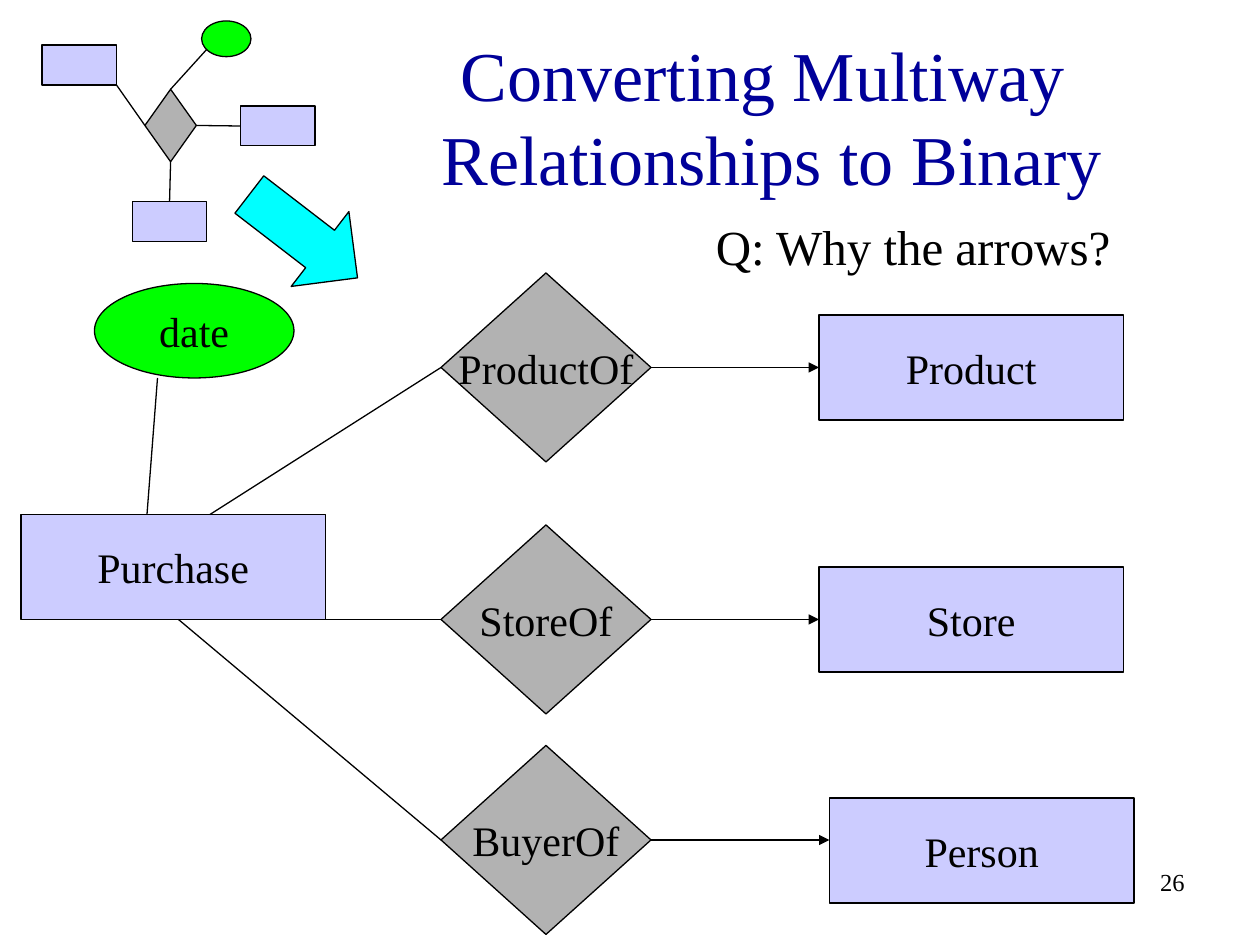
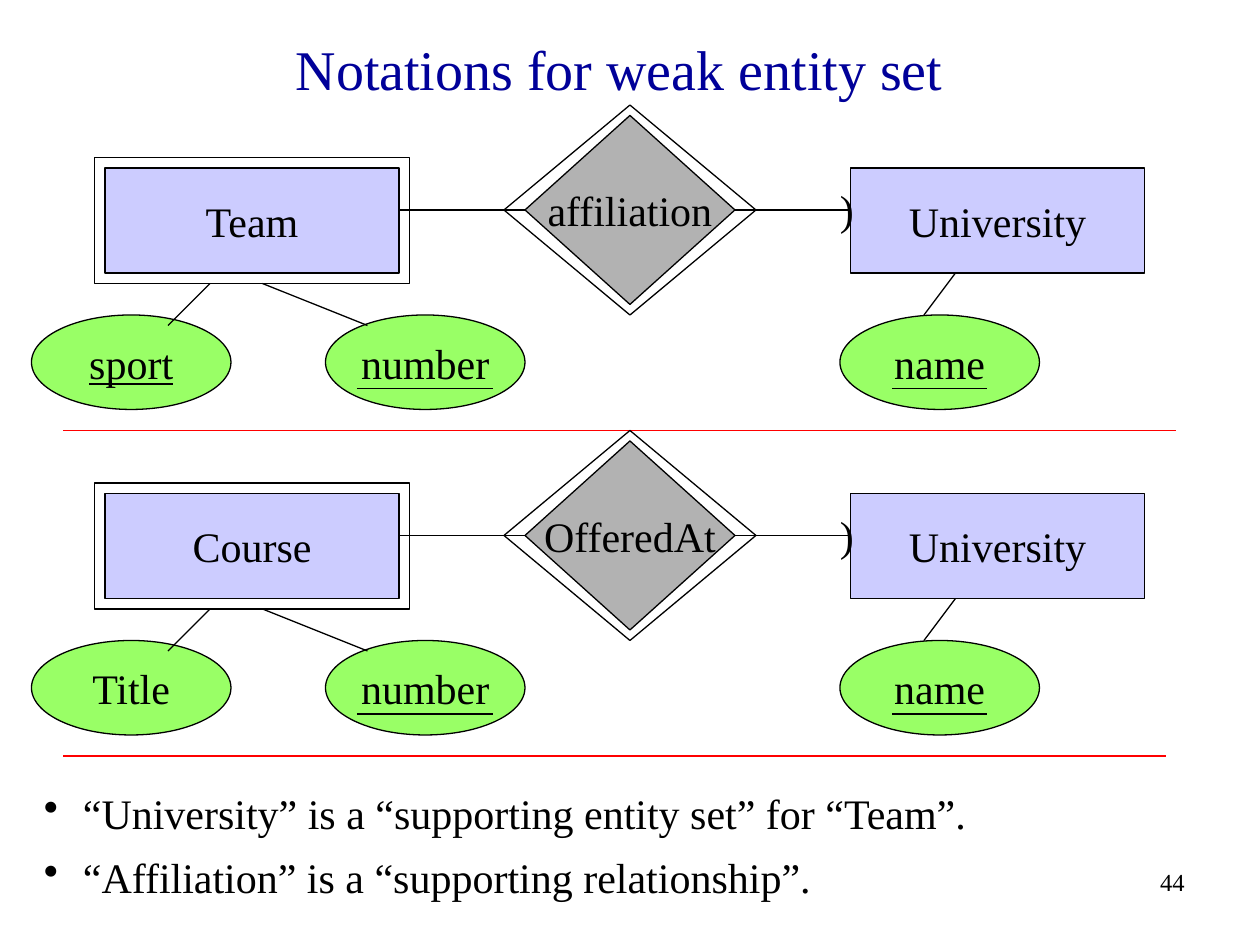
from dataclasses import dataclass
from typing import NamedTuple, Optional, Union

from lxml import etree
from pptx import Presentation
from pptx.dml.color import RGBColor
from pptx.enum.shapes import MSO_CONNECTOR, MSO_SHAPE
from pptx.enum.text import MSO_ANCHOR, MSO_AUTO_SIZE, PP_ALIGN
from pptx.oxml.ns import qn
from pptx.util import Inches, Pt

COLUMNS, ROWS = 120, 90
WIDTH, HEIGHT = Inches(10), Inches(7.5)
FONT = "Times New Roman"
NAVY = RGBColor(0x00, 0x00, 0x99)
BLACK = RGBColor(0x00, 0x00, 0x00)
RED = RGBColor(0xFF, 0x00, 0x00)
LILAC = RGBColor(0xCC, 0xCC, 0xFF)
GRAY = RGBColor(0xB2, 0xB2, 0xB2)
GREEN = RGBColor(0x00, 0xFF, 0x00)
LIME = RGBColor(0x99, 0xFF, 0x66)
CYAN = RGBColor(0x00, 0xFF, 0xFF)
TOP, LEFT, BOTTOM, RIGHT = range(4)


class Area(NamedTuple):
    """A block of grid cells."""
    column: float
    row: float
    columns: float
    rows: float

    def lengths(self) -> tuple:
        return (*place(self.column, self.row), *place(self.columns, self.rows))


class Point(NamedTuple):
    column: float
    row: float


class Joint(NamedTuple):
    """The middle of one side of a shape."""
    shape: object
    side: int


End = Union[Point, Joint]


@dataclass(frozen=True)
class Symbol:
    """A kind of diagram node."""
    preset: MSO_SHAPE
    fill: Optional[RGBColor] = None


ENTITY = Symbol(MSO_SHAPE.RECTANGLE, LILAC)
RELATIONSHIP = Symbol(MSO_SHAPE.DIAMOND, GRAY)
ATTRIBUTE = Symbol(MSO_SHAPE.OVAL, GREEN)
KEY_ATTRIBUTE = Symbol(MSO_SHAPE.OVAL, LIME)
WEAK_FRAME = Symbol(MSO_SHAPE.RECTANGLE)
SUPPORTING_FRAME = Symbol(MSO_SHAPE.DIAMOND)
BLOCK_ARROW = Symbol(MSO_SHAPE.RIGHT_ARROW, CYAN)


@dataclass(frozen=True)
class Branch:
    relationship: str
    entity: str
    diamond_row: int
    entity_area: Area


@dataclass(frozen=True)
class WeakEntity:
    name: str
    relationship: str
    attribute: str
    attribute_underlined: bool
    rule_end: int


BRANCHES = (
    Branch("ProductOf", "Product", 26, Area(78, 30, 29, 10)),
    Branch("StoreOf", "Store", 50, Area(78, 54, 29, 10)),
    Branch("BuyerOf", "Person", 71, Area(79, 76, 29, 10)),
)
WEAK_ENTITIES = (
    WeakEntity("Team", "affiliation", "sport", True, 112),
    WeakEntity("Course", "OfferedAt", "Title", False, 111),
)
PANEL_ROWS = 31
SUPPORT_NOTES = (
    "“University” is a “supporting entity set” for “Team”.",
    "“Affiliation” is a “supporting relationship”.",
)


def place(column: float, row: float) -> tuple:
    return round(WIDTH * column / COLUMNS), round(HEIGHT * row / ROWS)


def write(para, text: str, size: float = 24, color: RGBColor = BLACK,
          align: PP_ALIGN = PP_ALIGN.LEFT, underline: bool = False) -> None:
    para.text = text
    para.alignment = align
    for span in para.runs:
        font = span.font
        font.name, font.size, font.color.rgb = FONT, Pt(size), color
        if underline:
            font.underline = True


def add_text(page, area: Area, text: str, **text_format):
    box = page.shapes.add_textbox(*area.lengths())
    box.text_frame.word_wrap = True
    write(box.text_frame.paragraphs[0], text, **text_format)
    return box


def add_node(page, symbol: Symbol, area: Area, label: str = "", underline: bool = False):
    node = page.shapes.add_shape(symbol.preset, *area.lengths())
    node.shadow.inherit = False
    node.line.color.rgb, node.line.width = BLACK, Pt(0.75)
    if symbol.fill is None:
        node.fill.background()
    else:
        node.fill.solid()
        node.fill.fore_color.rgb = symbol.fill
    if label:
        frame = node.text_frame
        frame.word_wrap = False
        frame.vertical_anchor = MSO_ANCHOR.MIDDLE
        write(frame.paragraphs[0], label, align=PP_ALIGN.CENTER, underline=underline)
    return node


def add_line(page, begin: End, end: End, color: RGBColor = BLACK, arrow: bool = False) -> None:
    corners = [place(*stop) if isinstance(stop, Point) else (0, 0) for stop in (begin, end)]
    line = page.shapes.add_connector(MSO_CONNECTOR.STRAIGHT, *corners[0], *corners[1])
    if isinstance(begin, Joint):
        line.begin_connect(*begin)
    if isinstance(end, Joint):
        line.end_connect(*end)
    line.line.color.rgb, line.line.width = color, Pt(0.75)
    if arrow:
        etree.SubElement(line.line._get_or_add_ln(), qn("a:tailEnd"), type="triangle")
    etree.SubElement(line._element.spPr, qn("a:effectLst"))


def add_page(deck, title: str, area: Area, size: float, number: int):
    """Add a title-only slide with its heading and slide number."""
    page = deck.slides.add_slide(deck.slide_layouts[5])
    heading = page.shapes.title
    heading.left, heading.top, heading.width, heading.height = area.lengths()
    frame = heading.text_frame
    frame.auto_size = MSO_AUTO_SIZE.NONE
    frame.vertical_anchor = MSO_ANCHOR.MIDDLE
    write(frame.paragraphs[0], title, size=size, color=NAVY, align=PP_ALIGN.CENTER)
    add_text(page, Area(89, 82, 25, 6), str(number), size=14, align=PP_ALIGN.RIGHT)
    return page


def add_multiway_sketch(page) -> None:
    """Draw the small unlabelled diagram that is to be converted."""
    diamond = add_node(page, RELATIONSHIP, Area(13.8, 8.5, 4.9, 6.9))
    _, lower, right = [add_node(page, ENTITY, Area(*corner, 7.1, 3.8))
                       for corner in ((4, 4.3), (12.6, 19.2), (22.9, 10.1))]
    add_node(page, ATTRIBUTE, Area(19.2, 2, 4.7, 3.4))
    add_line(page, Joint(diamond, RIGHT), Joint(right, LEFT))
    add_line(page, Joint(diamond, BOTTOM), Joint(lower, TOP))
    add_line(page, Joint(diamond, TOP), Point(19.7, 4.7))
    add_line(page, Point(11.1, 8.1), Joint(diamond, LEFT))
    add_node(page, BLOCK_ARROW, Area(22.4, 18, 13, 9)).rotation = 37.6


def build_conversion_page(deck) -> None:
    page = add_page(deck, "Converting Multiway \vRelationships to Binary",
                    Area(31, 3, 85, 16), 40, 26)
    add_multiway_sketch(page)
    add_text(page, Area(67, 20, 49, 6.8), "Q: Why the arrows?", size=28)
    add_node(page, ENTITY, Area(2, 49, 29, 10), "Purchase")
    add_node(page, ATTRIBUTE, Area(9, 27, 19, 9), "date")
    add_line(page, Point(14, 49), Point(15, 36))
    purchase_ends = (Point(20, 49), Point(31, 59), Point(17, 59))
    for branch, purchase_end in zip(BRANCHES, purchase_ends):
        diamond = add_node(page, RELATIONSHIP, Area(42, branch.diamond_row, 20, 18),
                           branch.relationship)
        area = branch.entity_area
        entity = add_node(page, ENTITY, area, branch.entity)
        middle = branch.diamond_row + 9
        centered = middle == area.row + area.rows / 2
        entity_end = Joint(entity, LEFT) if centered else Point(area.column, middle)
        add_line(page, Joint(diamond, LEFT), purchase_end)
        add_line(page, Joint(diamond, RIGHT), entity_end, arrow=True)


def add_weak_entity(page, weak: WeakEntity, top: int) -> None:
    """Draw one weak entity set with its supporting relationship; top is in rows."""
    add_node(page, ENTITY, Area(81, top + 6, 28, 10), "University")
    add_node(page, ENTITY, Area(10, top + 6, 28, 10), weak.name)
    diamond = add_node(page, RELATIONSHIP, Area(50, top + 1, 20, 18), weak.relationship)
    add_line(page, Joint(diamond, LEFT), Point(38, top + 10))
    add_line(page, Joint(diamond, RIGHT), Point(81, top + 10))
    for column, label, underline in ((31, "number", False), (80, "name", False),
                                     (3, weak.attribute, weak.attribute_underlined)):
        add_node(page, KEY_ATTRIBUTE, Area(column, top + 20, 19, 9), label, underline)
    add_node(page, WEAK_FRAME, Area(9, top + 5, 30, 12))
    add_node(page, SUPPORTING_FRAME, Area(48, top, 24, 20))
    key_underlines = ((34, 27, 47, 27), (85, 27, 94, 27))
    attribute_links = ((20, 17, 16, 21), (25, 17, 35, 21), (91, 16, 88, 20))
    for column, row, end_column, end_row in key_underlines + attribute_links:
        add_line(page, Point(column, top + row), Point(end_column, top + end_row))
    rounded_end = add_text(page, Area(78.8, top + 6.9, 3.7, 6), ")")
    rounded_end.text_frame.word_wrap = False
    add_line(page, Point(6, top + 31), Point(weak.rule_end, top + 31), color=RED)


def add_bullets(page, area: Area, notes: tuple) -> None:
    frame = add_text(page, area, "").text_frame
    for index, note in enumerate(notes):
        para = frame.add_paragraph() if index else frame.paragraphs[0]
        properties = para._p.get_or_add_pPr()
        indent = Inches(0.31)
        properties.set("marL", str(indent))
        properties.set("indent", str(-indent))
        etree.SubElement(properties, qn("a:buChar"), char="•")
        if index:
            para.space_before = Pt(8)
        write(para, note)


def build_notation_page(deck) -> None:
    page = add_page(deck, "Notations for weak entity set", Area(2, 2, 114, 9), 32, 44)
    for index, weak in enumerate(WEAK_ENTITIES):
        add_weak_entity(page, weak, 10 + index * PANEL_ROWS)
    add_bullets(page, Area(3, 74.4, 114, 12), SUPPORT_NOTES)


def main() -> None:
    deck = Presentation()
    deck.slide_width, deck.slide_height = WIDTH, HEIGHT
    build_conversion_page(deck)
    build_notation_page(deck)
    deck.save("out.pptx")


if __name__ == "__main__":
    main()
